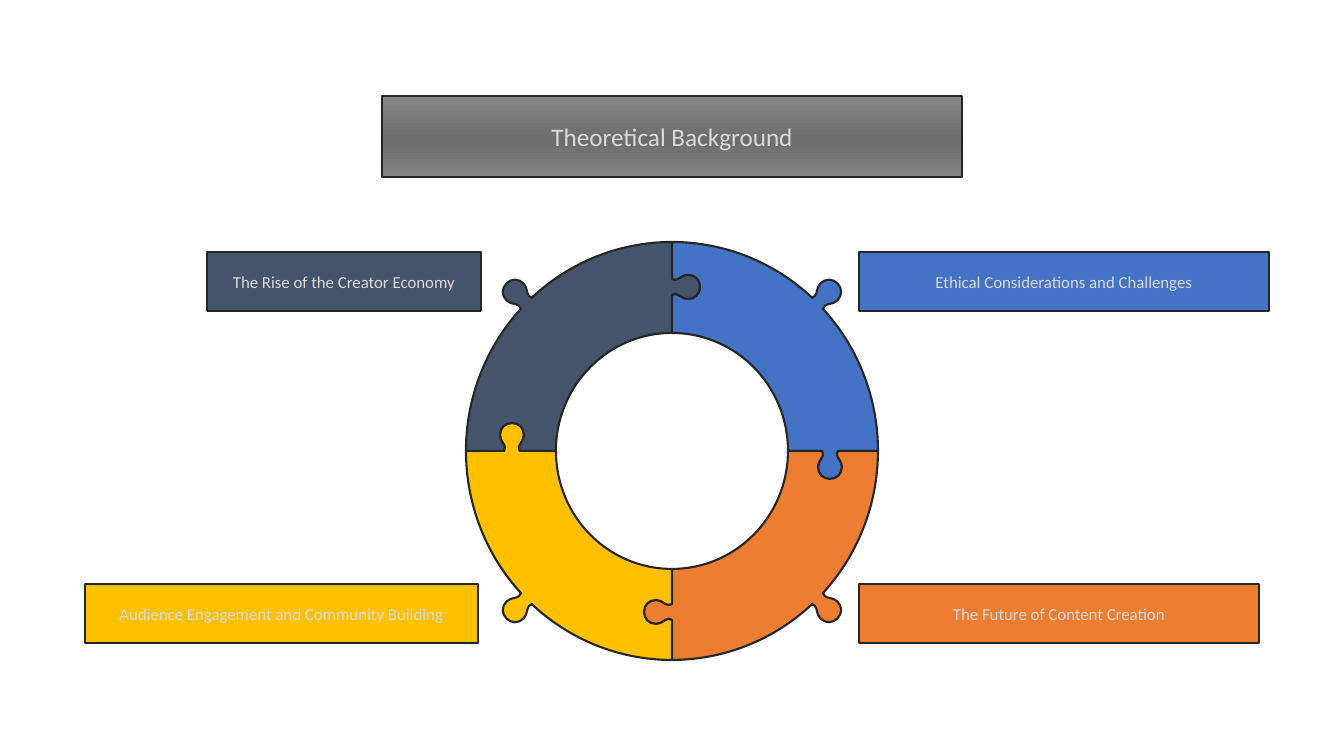
from copy import deepcopy
from dataclasses import dataclass
from math import cos, radians, sin, tan

from pptx import Presentation
from pptx.dml.color import RGBColor
from pptx.enum import shapes, text
from pptx.oxml import ns
from pptx.util import Pt

EMU_PER_PX = 914400 / 100.8


@dataclass(frozen=True)
class Theme:
    slate: str = "44546A"
    blue: str = "4472C4"
    orange: str = "ED7D31"
    gold: str = "FFC000"
    outline: str = "262626"
    lettering: str = "D9D9D9"
    title_stops: tuple = ((0.04, "848484"), (0.55, "6D6D6D"), (1, "848484"))
    font: str = "Calibri"
    title_size: int = 18
    label_size: int = 12
    line_width: float = 1.5


THEME = Theme()

# Ring: centre, (horizontal, vertical) radii, and knob distance on each seam
CENTRE = (672, 451)
OUTER = (206, 209)
INNER = (116, 118)
SEAM_KNOBS = {0: 164, 90: 158, 180: 161, 270: 160}
TAB_HALF_ANGLE = 2

# Left half of a knob as Bezier points: (sideways, forward) from its base
HALF_KNOB = [(-8, 0), (-7, 1), (-7, 2), (-7, 3), (-7, 7), (-12, 10), (-12, 16),
             (-12, 23), (-7, 28), (0, 28)]
KNOB = HALF_KNOB + [(-side, forward) for side, forward in HALF_KNOB[-2::-1]]


def emu(px):
    return round(px * EMU_PER_PX)


def rgb(code):
    return RGBColor.from_string(code)


def on_ring(angle, radii):
    """Point on an ellipse around the centre, clockwise from the top."""
    turn = radians(angle)
    return CENTRE[0] + radii[0] * sin(turn), CENTRE[1] - radii[1] * cos(turn)


def arc(start, end, radii):
    """One Bezier curve along the ring."""
    pull = 4 / 3 * tan(radians(end - start) / 4)

    def handle(angle, reach):
        (x, y), (tx, ty) = on_ring(angle, radii), on_ring(angle + 90, radii)
        return x + reach * (tx - CENTRE[0]), y + reach * (ty - CENTRE[1])

    return [handle(start, 0), handle(start, pull), handle(end, -pull), handle(end, 0)]


def knob(base, direction):
    """Knob outline that starts at base and points in a clockwise direction."""
    dx, dy = sin(radians(direction)), -cos(radians(direction))
    return [(base[0] + forward * dx - side * dy, base[1] + forward * dy + side * dx)
            for side, forward in KNOB]


def seam(angle):
    """Knob on the seam at this angle, drawn from the rim inwards."""
    reach = SEAM_KNOBS[angle % 360]
    return knob(on_ring(angle, (reach, reach)), angle + 90)


def outline_shape(shape):
    shape.shadow.inherit = False
    shape.line.color.rgb = rgb(THEME.outline)
    shape.line.width = Pt(THEME.line_width)


def add_curved_shape(slide, points):
    """Freeform through every third point, with the others as Bezier handles."""
    points = [(emu(x), emu(y)) for x, y in points]
    builder = slide.shapes.build_freeform(*points[0])
    builder.add_line_segments(points[3::3], close=True)
    shape = builder.convert_to_shape()
    for index, segment in enumerate(shape.element.xpath(".//a:lnTo")):
        segment.tag = ns.qn("a:cubicBezTo")
        for place in (0, 1):
            x, y = points[3 * index + 1 + place]
            control = deepcopy(segment[-1])
            control.set("x", str(x - shape.left))
            control.set("y", str(y - shape.top))
            segment.insert(place, control)
    return shape


def add_piece(slide, start, color):
    middle, end = start + 45, start + 90
    points = arc(start, middle - TAB_HALF_ANGLE, OUTER)
    for part in (knob(on_ring(middle, OUTER), middle),
                 arc(middle + TAB_HALF_ANGLE, end, OUTER),
                 seam(end),
                 arc(end, start, INNER),
                 seam(start)[::-1]):
        # A straight stretch leads to each part
        points += [points[-1], part[0]] + part
    piece = add_curved_shape(slide, points)
    piece.fill.solid()
    piece.fill.fore_color.rgb = rgb(color)
    outline_shape(piece)


def add_box(slide, wording, bounds, size):
    box = slide.shapes.add_shape(shapes.MSO_SHAPE.RECTANGLE, *map(emu, bounds))
    outline_shape(box)
    frame = box.text_frame
    frame.word_wrap = True
    frame.vertical_anchor = text.MSO_ANCHOR.MIDDLE
    line = frame.paragraphs[0]
    line.alignment = text.PP_ALIGN.CENTER
    run = line.add_run()
    run.text = wording
    run.font.name = THEME.font
    run.font.size = Pt(size)
    run.font.color.rgb = rgb(THEME.lettering)
    return box


def add_label(slide, wording, bounds, color):
    label = add_box(slide, wording, bounds, THEME.label_size)
    label.fill.solid()
    label.fill.fore_color.rgb = rgb(color)


def add_title(slide, wording, bounds):
    title = add_box(slide, wording, bounds, THEME.title_size)
    title.fill.gradient()
    title.fill.gradient_angle = 270
    # A new gradient has two stops; the banner needs a third
    last_stop = title.element.xpath(".//a:gs")[-1]
    last_stop.addnext(deepcopy(last_stop))
    for stop, (position, color) in zip(title.fill.gradient_stops, THEME.title_stops):
        stop.position = position
        stop.color.rgb = rgb(color)


def main():
    deck = Presentation()
    deck.slide_width, deck.slide_height = emu(1344), emu(756)
    slide = deck.slides.add_slide(deck.slide_layouts[6])

    # Puzzle ring, clockwise from the top
    ring = (THEME.blue, THEME.orange, THEME.gold, THEME.slate)
    for quarter, color in enumerate(ring):
        add_piece(slide, 90 * quarter, color)

    # Labels beside the ring
    upper, lower, height = 252, 584, 59
    labels = (
        ("The Rise of the Creator Economy", 207, upper, 274, THEME.slate),
        ("Audience Engagement and Community Building", 85, lower, 393, THEME.gold),
        ("Ethical Considerations and Challenges", 859, upper, 410, THEME.blue),
        ("The Future of Content Creation", 859, lower, 400, THEME.orange),
    )
    for wording, left, top, width, color in labels:
        add_label(slide, wording, (left, top, width, height), color)

    # Title banner
    add_title(slide, "Theoretical Background", (382, 96, 580, 81))

    deck.save("out.pptx")


if __name__ == "__main__":
    main()
